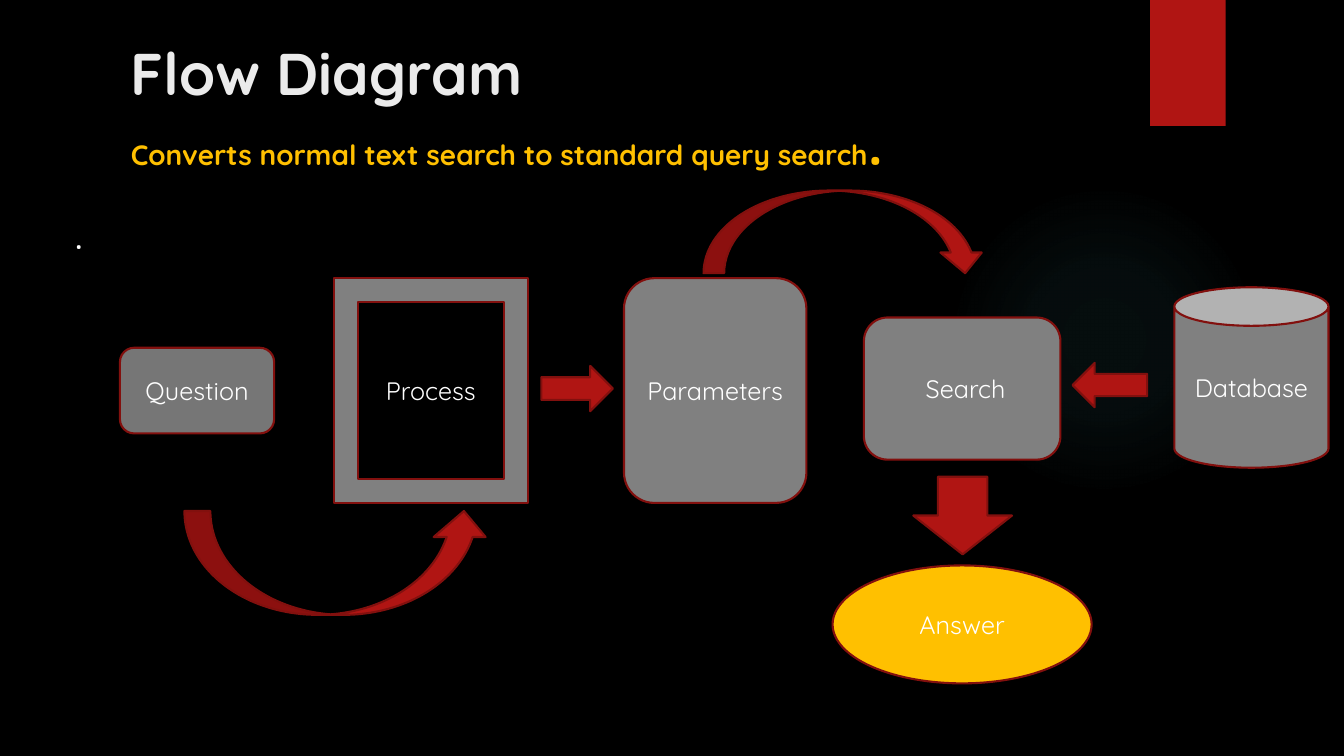
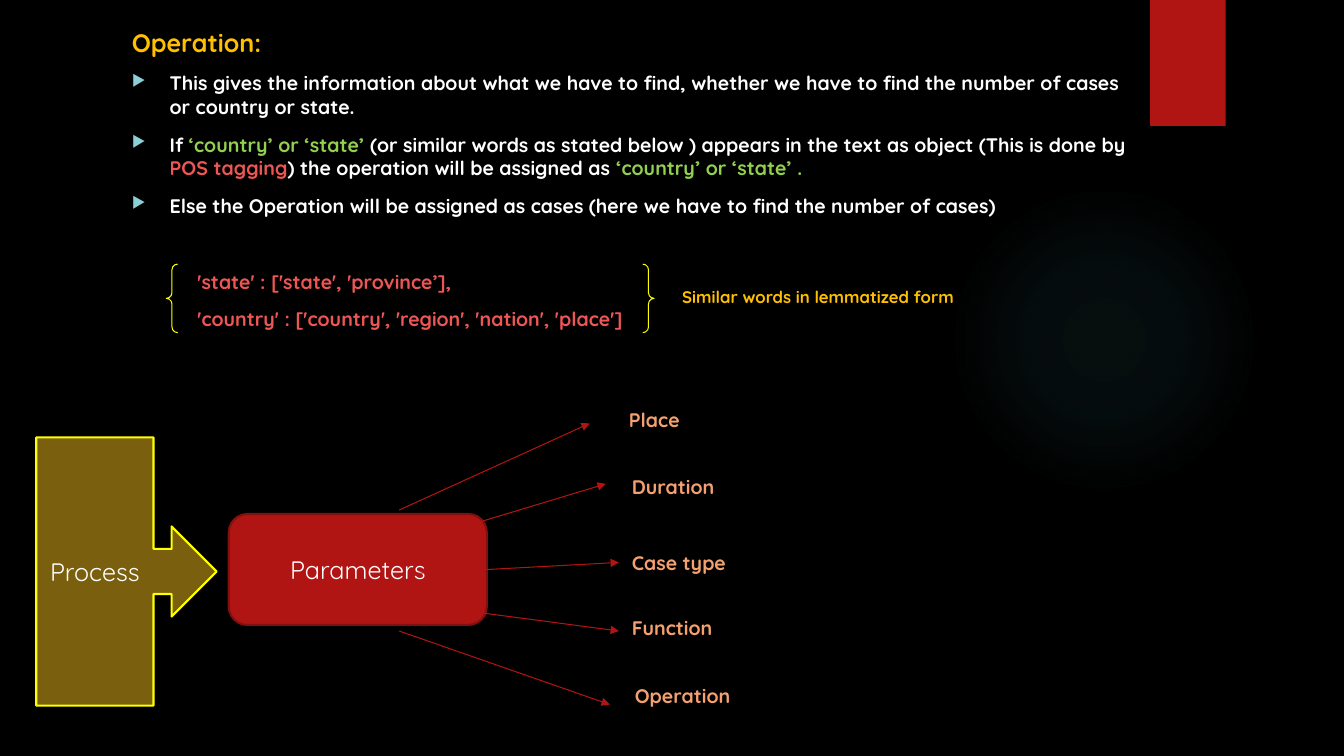
import copy
from dataclasses import dataclass
from typing import Any

import pptx
import pptx.dml.color
import pptx.enum.shapes
import pptx.enum.text
import pptx.oxml
import pptx.oxml.ns
import pptx.util

RGB = pptx.dml.color.RGBColor
Pt = pptx.util.Pt
SHAPE = pptx.enum.shapes.MSO_SHAPE
ANCHOR = pptx.enum.text.MSO_ANCHOR
ALIGN = pptx.enum.text.PP_ALIGN
FIT = pptx.enum.text.MSO_AUTO_SIZE

COLS, ROWS = 133.33, 75
CELL = pptx.util.Inches(0.1)

BLACK = RGB(0x00, 0x00, 0x00)
WHITE = RGB(0xFF, 0xFF, 0xFF)
OFF_WHITE = RGB(0xEB, 0xEB, 0xEB)
RED = RGB(0xB0, 0x15, 0x13)
DARK_RED = RGB(0x82, 0x10, 0x0E)
GREY = RGB(0x80, 0x80, 0x80)
DARK_GREY = RGB(0x76, 0x76, 0x76)
AMBER = RGB(0xFF, 0xC0, 0x00)
YELLOW = RGB(0xFF, 0xFF, 0x00)
OLIVE = RGB(0x79, 0x5F, 0x0E)
GREEN = RGB(0x92, 0xD0, 0x50)
CORAL = RGB(0xED, 0x56, 0x54)
PEACH = RGB(0xF4, 0xA1, 0x6F)
TEAL = RGB(0x8A, 0xD0, 0xD6)
GLOW = RGB(0x50, 0xB9, 0xC1)

FONT = {"name": "Quicksand", "bold": True}
SHAPE_FONT = {"name": "Quicksand", "size": Pt(18)}
FRAME = {"word_wrap": True, "vertical_anchor": ANCHOR.TOP}
LABEL_FRAME = FRAME | {"auto_size": FIT.SHAPE_TO_FIT_TEXT}
CENTRED_FRAME = {"word_wrap": True, "vertical_anchor": ANCHOR.MIDDLE}
BULLET = {"marL": "342900", "indent": "-342900"}
INDENTED = {"marL": "594360", "indent": "0"}

A = pptx.oxml.ns.nsdecls("a")


@dataclass(frozen=True)
class Box:
    x: float
    y: float
    w: float
    h: float

    def lengths(self) -> list[int]:
        return [round(v * CELL) for v in (self.x, self.y, self.w, self.h)]


@dataclass(frozen=True)
class Node:
    kind: Any
    box: Box
    fill: RGB | None = RED
    text: str = ""
    line: RGB | None = DARK_RED
    weight: float = 1.5


@dataclass(frozen=True)
class Run:
    text: str
    color: RGB = WHITE
    size: float = 14


@dataclass(frozen=True)
class Para:
    runs: tuple[Run, ...]
    before: float = 10
    indent: dict[str, str] | None = None


@dataclass(frozen=True)
class Branch:
    text: str
    x: float
    y: float
    start: tuple[float, float]
    end: tuple[float, float]


def set_all(target: Any, values: dict[str, Any]) -> None:
    for name, value in values.items():
        setattr(target, name, value)


def add_run(p: Any, run: Run, fmt: dict[str, Any]) -> None:
    r = p.add_run()
    r.text = run.text
    set_all(r.font, {"size": Pt(run.size)} | fmt)
    r.font.color.rgb = run.color


def add_node(slide: Any, node: Node) -> Any:
    sp = slide.shapes.add_shape(node.kind, *node.box.lengths())
    sp.shadow.inherit = False
    if node.fill is None:
        sp.fill.background()
    else:
        sp.fill.solid()
        sp.fill.fore_color.rgb = node.fill
    if node.line is None:
        sp.line.fill.background()
    else:
        sp.line.color.rgb = node.line
        sp.line.width = Pt(node.weight)
    if node.text:
        set_all(sp.text_frame, CENTRED_FRAME)
        p = sp.text_frame.paragraphs[0]
        p.alignment = ALIGN.CENTER
        add_run(p, Run(node.text), SHAPE_FONT)
    return sp


def add_bullet(p: Any) -> None:
    pPr = p._p.get_or_add_pPr()
    for xml in (
        f'<a:buClr {A}><a:srgbClr val="{TEAL}"/></a:buClr>',
        f'<a:buSzPct {A} val="80000"/>',
        f'<a:buChar {A} char="▶"/>',
    ):
        pPr.append(pptx.oxml.parse_xml(xml))


def add_text(slide: Any, box: Box, paras: list[Para],
             frame: dict[str, Any] = FRAME) -> None:
    tf = slide.shapes.add_textbox(*box.lengths()).text_frame
    set_all(tf, frame)
    for i, para in enumerate(paras):
        p = tf.add_paragraph() if i else tf.paragraphs[0]
        p.space_before = Pt(para.before)
        if para.indent:
            p._p.get_or_add_pPr().attrib.update(para.indent)
        if para.indent is BULLET:
            add_bullet(p)
        for run in para.runs:
            add_run(p, run, FONT)


def add_label(slide: Any, box: Box, run: Run) -> None:
    add_text(slide, box, [Para((run,), 0)], LABEL_FRAME)


def add_arrow(slide: Any, start: tuple[float, float],
              end: tuple[float, float]) -> None:
    ends = [round(v * CELL) for v in start + end]
    line = slide.shapes.add_connector(
        pptx.enum.shapes.MSO_CONNECTOR.STRAIGHT, *ends)
    line.line.color.rgb = RED
    line.line.width = Pt(0.75)
    line.line._get_or_add_ln().append(
        pptx.oxml.parse_xml(f'<a:tailEnd {A} type="triangle"/>'))
    line._element.spPr.append(pptx.oxml.parse_xml(f"<a:effectLst {A}/>"))


def add_glow(slide: Any) -> None:
    sp = add_node(slide, Node(SHAPE.OVAL, Box(94.1, 18.3, 30.8, 30.8),
                              None, line=None))
    stops = "".join(
        f'<a:gs pos="{pos}000"><a:srgbClr val="{GLOW}">'
        f'<a:alpha val="{alpha}000"/></a:srgbClr></a:gs>'
        for pos, alpha in ((0, 7), (36, 6), (69, 0)))
    grad = pptx.oxml.parse_xml(
        f'<a:gradFill {A}><a:gsLst>{stops}</a:gsLst><a:path path="circle">'
        '<a:fillToRect l="50000" t="50000" r="50000" b="50000"/>'
        "</a:path></a:gradFill>")
    spPr = sp._element.spPr
    spPr.replace(spPr.find(pptx.oxml.ns.qn("a:noFill")), grad)


def add_slide(prs: Any) -> Any:
    slide = prs.slides.add_slide(prs.slide_layouts[6])
    add_glow(slide)
    add_node(slide, Node(SHAPE.RECTANGLE, Box(114.1, 0, 7.5, 12.5), line=None))
    return slide


FLOW = [
    Node(SHAPE.CAN, Box(116.5, 28.5, 15.3, 17.9), GREY, "Database"),
    Node(SHAPE.FLOWCHART_ALTERNATE_PROCESS, Box(11.9, 34.5, 15.3, 8.5),
         DARK_GREY, "Question"),
    Node(SHAPE.RIGHT_ARROW, Box(53.7, 36.3, 7.1, 4.5)),
    Node(SHAPE.FRAME, Box(33.1, 27.6, 19.3, 22.3), GREY, "Process"),
    Node(SHAPE.ROUNDED_RECTANGLE, Box(85.7, 31.5, 19.5, 14.1), GREY, " Search"),
    Node(SHAPE.LEFT_ARROW, Box(106.4, 36, 7.4, 4.4)),
    Node(SHAPE.DOWN_ARROW, Box(90.6, 47.3, 9.8, 7.7)),
    Node(SHAPE.OVAL, Box(82.6, 56.1, 25.7, 11.7), AMBER, "Answer"),
    Node(SHAPE.ROUNDED_RECTANGLE, Box(61.9, 27.6, 18.1, 22.3), GREY,
         "Parameters"),
    Node(SHAPE.CURVED_UP_ARROW, Box(18.3, 50.7, 30.3, 10.3)),
    Node(SHAPE.CURVED_DOWN_ARROW, Box(69.8, 18.9, 28, 8.2)),
]

OPERATION = [
    Para((Run("Operation:", AMBER, 18),)),
    Para((Run("This gives the information about what we have to find, whether "
              "we have to find the number of cases or country or state."),),
         indent=BULLET),
    Para((Run("If "),
          Run("‘country’ or ‘state’ ", GREEN),
          Run("(or similar words as stated below ) appears in the text as "
              "object (This is done by "),
          Run("POS tagging", CORAL),
          Run(") the operation will be assigned as "),
          Run("‘country’ or ‘state’ .", GREEN)), indent=BULLET),
    Para((Run("Else the Operation will be assigned as cases (here we have to "
              "find the number of cases)"),), indent=BULLET),
    Para((Run("'state' : ['state', 'province’],", CORAL),), 37.5, INDENTED),
    Para((Run("'country' : ['country', 'region', 'nation', 'place']", CORAL),),
         indent=INDENTED),
]

BRANCHES = [
    Branch("Place", 61.4, 40, (39.6, 50.6), (58.5, 42)),
    Branch("Duration", 61.7, 46.6, (39.6, 54.2), (60.1, 48)),
    Branch("Case type", 61.7, 54.2, (40.9, 56.9), (61.4, 55.8)),
    Branch("Function", 61.7, 60.6, (40.9, 59.9), (61.4, 62.6)),
    Branch("Operation", 62, 67.4, (39.6, 62.6), (60.5, 69.9)),
]


def build_flow(prs: Any) -> None:
    slide = add_slide(prs)
    tf = slide.shapes.add_textbox(*Box(12, 3.1, 110, 15.9).lengths()).text_frame
    set_all(tf, FRAME)
    p = tf.paragraphs[0]
    add_run(p, Run("Flow Diagram", OFF_WHITE, 42), FONT)
    p.add_line_break()
    add_run(p, Run("Converts normal text search to standard query search",
                   AMBER, 20), FONT)
    add_run(p, Run(".", AMBER, 42), FONT)
    add_text(slide, Box(6.5, 21.5, 125.2, 47.3), [Para((Run(".", size=20),))])
    for node in FLOW:
        add_node(slide, node)


def build_operation(prs: Any) -> None:
    slide = add_slide(prs)
    add_text(slide, Box(12.1, 2.2, 102.3, 66.1), OPERATION)
    add_node(slide, Node(SHAPE.DOUBLE_BRACE, Box(16.5, 26.2, 48.4, 6.8), None,
                         line=YELLOW, weight=0.75))
    add_label(slide, Box(66.7, 28, 47.7, 6.1),
              Run("Similar words in lemmatized form", AMBER, 12))
    add_node(slide, Node(SHAPE.ROUNDED_RECTANGLE, Box(22.7, 51, 25.6, 11),
                         text="Parameters"))
    for branch in BRANCHES:
        add_arrow(slide, branch.start, branch.end)
        add_label(slide, Box(branch.x, branch.y, 18, 3.4),
                  Run(branch.text, PEACH))
    add_node(slide, Node(SHAPE.RIGHT_ARROW_CALLOUT, Box(3.6, 43.4, 17.9, 26.6),
                         OLIVE, "Process", YELLOW))


def main() -> None:
    prs = pptx.Presentation()
    set_all(prs, {"slide_width": round(COLS * CELL),
                  "slide_height": ROWS * CELL})
    fill = prs.slide_master.background.fill
    fill.solid()
    fill.fore_color.rgb = BLACK
    build_flow(prs)
    build_operation(prs)
    prs.save("out.pptx")


if __name__ == "__main__":
    main()
